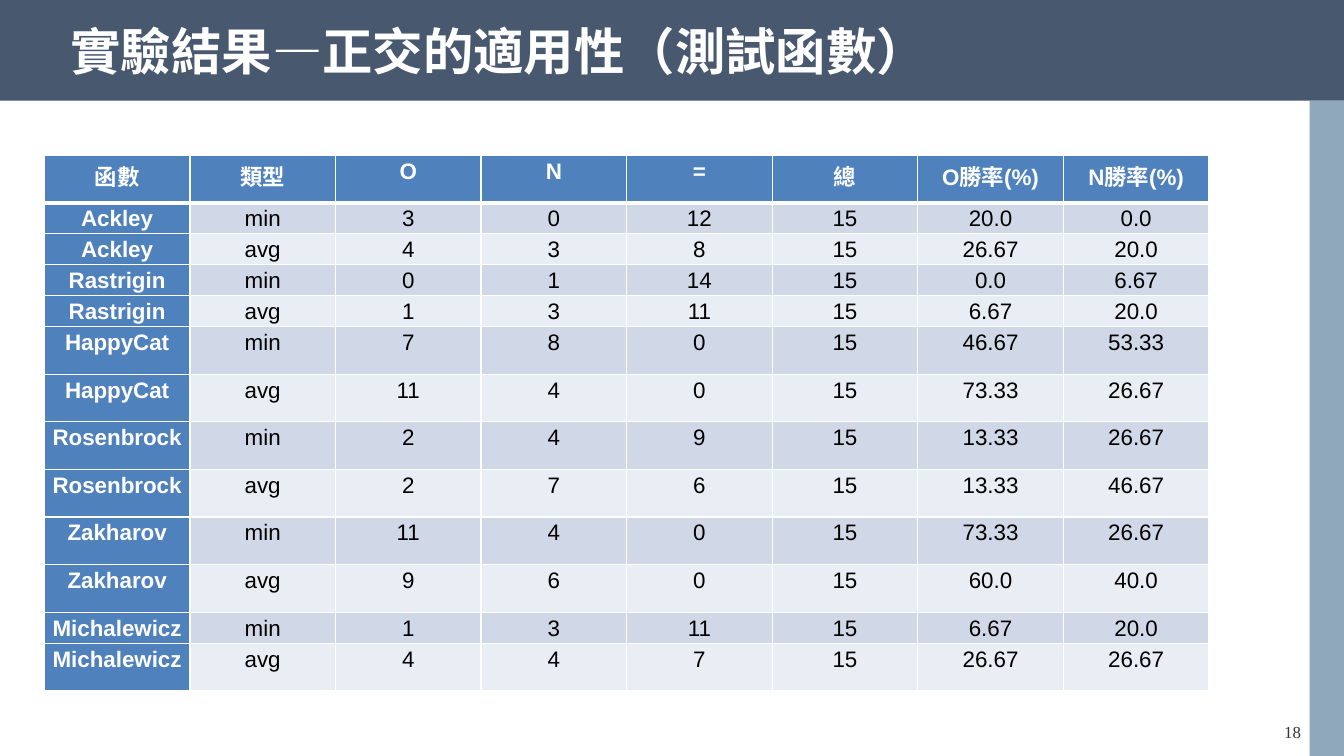
"""Build the slide on how well the orthogonal method suits the test functions."""
import lxml.etree
import pptx
import pptx.dml.color
import pptx.enum.shapes
import pptx.enum.text
import pptx.oxml.ns
import pptx.util

SLIDE_WIDTH, SLIDE_HEIGHT = pptx.util.Inches(13.34), pptx.util.Inches(7.5)
COLOURS = {
    "white": "FFFFFF", "black": "000000", "banner": "48586F", "side": "25557B",
    "number": "333333", "head": "4F81BD", "odd": "D0D8E8", "even": "E9EDF4",
}
HEADINGS = ["函數", "類型", "O", "N", "=", "總", "O勝率(%)", "N勝率(%)"]
RESULTS = [
    ["Ackley", "min", "3", "0", "12", "15", "20.0", "0.0"],
    ["Ackley", "avg", "4", "3", "8", "15", "26.67", "20.0"],
    ["Rastrigin", "min", "0", "1", "14", "15", "0.0", "6.67"],
    ["Rastrigin", "avg", "1", "3", "11", "15", "6.67", "20.0"],
    ["HappyCat", "min", "7", "8", "0", "15", "46.67", "53.33"],
    ["HappyCat", "avg", "11", "4", "0", "15", "73.33", "26.67"],
    ["Rosenbrock", "min", "2", "4", "9", "15", "13.33", "26.67"],
    ["Rosenbrock", "avg", "2", "7", "6", "15", "13.33", "46.67"],
    ["Zakharov", "min", "11", "4", "0", "15", "73.33", "26.67"],
    ["Zakharov", "avg", "9", "6", "0", "15", "60.0", "40.0"],
    ["Michalewicz", "min", "1", "3", "11", "15", "6.67", "20.0"],
    ["Michalewicz", "avg", "4", "4", "7", "15", "26.67", "26.67"],
]
ROW_UNITS = [5] + [3] * 4 + [5] * 6 + [3, 5]
CENTRE = pptx.enum.text.PP_ALIGN.CENTER
MIDDLE = pptx.enum.text.MSO_ANCHOR.MIDDLE
CELL_MARGINS = {"margin_left": pptx.util.Inches(0.07), "margin_right": pptx.util.Inches(0.07),
                "margin_top": 0, "margin_bottom": 0}
CELL_PARAGRAPH = {"alignment": CENTRE, "line_spacing": 1.15, "space_after": pptx.util.Pt(10)}


def rgb(colour):
    """Return the named colour."""
    return pptx.dml.color.RGBColor.from_string(COLOURS[colour])


def apply_format(target, values):
    """Set each format value on the target."""
    for attribute, value in values.items():
        setattr(target, attribute, value)


def area(left, top, width, height):
    """Turn percentages of the slide into lengths."""
    shares = zip((left, top, width, height), (SLIDE_WIDTH, SLIDE_HEIGHT) * 2)
    return [round(share * full / 100) for share, full in shares]


def write(frame, wording, paragraph_format, font_name, size, colour, bold=False):
    """Write one formatted paragraph into a text frame."""
    frame.text = wording
    paragraph = frame.paragraphs[0]
    apply_format(paragraph, paragraph_format)
    font = paragraph.runs[0].font
    apply_format(font, {"name": font_name, "size": pptx.util.Pt(size), "bold": bold})
    font.color.rgb = rgb(colour)


def add_band(slide, place, colour, opacity=100):
    """Add a plain band behind the title."""
    band = slide.shapes.add_shape(pptx.enum.shapes.MSO_SHAPE.RECTANGLE, *area(*place))
    band.shadow.inherit = False
    band.fill.solid()
    band.fill.fore_color.rgb = rgb(colour)
    band.line.fill.background()
    if opacity < 100:
        tint = band.element.find(".//" + pptx.oxml.ns.qn("a:srgbClr"))
        lxml.etree.SubElement(tint, pptx.oxml.ns.qn("a:alpha"), val=str(opacity * 1000))
    slide.shapes.title.element.addprevious(band.element)


def write_title(slide, wording):
    """Place and fill the title."""
    heading = slide.shapes.title
    apply_format(heading, dict(zip(("left", "top", "width", "height"),
                                   area(5.25, 2.27, 92.88, 9.87))))
    apply_format(heading.text_frame, {
        "margin_left": 0, "margin_top": 0, "margin_right": 0, "margin_bottom": 0,
        "vertical_anchor": MIDDLE, "word_wrap": True})
    write(heading.text_frame, wording,
          {"alignment": pptx.enum.text.PP_ALIGN.LEFT, "line_spacing": 0.9},
          "Arial", 36, "white", True)


def write_number(slide, wording):
    """Add the page number."""
    number = slide.shapes.add_textbox(*area(91.6, 94.8, 9.15, 3.73))
    number.text_frame.word_wrap = True
    write(number.text_frame, wording, {"alignment": CENTRE}, "Times New Roman", 12, "number")


def rule_cell(cell, bottom_width):
    """Draw white rules around a cell."""
    properties = cell._tc.get_or_add_tcPr()
    for side, width in {"L": 1, "R": 1, "T": 1, "B": bottom_width}.items():
        rule = lxml.etree.SubElement(properties, pptx.oxml.ns.qn("a:ln" + side),
                                     w=str(pptx.util.Pt(width)))
        paint = lxml.etree.SubElement(rule, pptx.oxml.ns.qn("a:solidFill"))
        lxml.etree.SubElement(paint, pptx.oxml.ns.qn("a:srgbClr"), val=COLOURS["white"])


def add_results(slide):
    """Add the table of results."""
    records = [HEADINGS] + RESULTS
    place = area(3.3, 20.53, 86.66, 69.33)
    results = slide.shapes.add_table(len(records), len(HEADINGS), *place).table
    for column in results.columns:
        column.width = place[2] // len(HEADINGS)
    for index, (record, units) in enumerate(zip(records, ROW_UNITS)):
        results.rows[index].height = place[3] * units // sum(ROW_UNITS)
        for position, wording in enumerate(record):
            cell = results.cell(index, position)
            is_head = index == 0 or position == 0
            apply_format(cell, CELL_MARGINS)
            rule_cell(cell, 1 if index else 3)
            cell.fill.solid()
            cell.fill.fore_color.rgb = rgb("head" if is_head else "odd" if index % 2 else "even")
            write(cell.text_frame, wording, CELL_PARAGRAPH, "Arial", 16,
                  "white" if is_head else "black", is_head)


def main():
    """Build and save the slide."""
    deck = pptx.Presentation()
    apply_format(deck, {"slide_width": SLIDE_WIDTH, "slide_height": SLIDE_HEIGHT})
    slide = deck.slides.add_slide(deck.slide_layouts[5])
    add_band(slide, (0, 0, 100, 13.33), "banner")
    add_band(slide, (97.45, 13.33, 2.55, 86.67), "side", 51)
    write_number(slide, "18")
    write_title(slide, "實驗結果—正交的適用性（測試函數）")
    add_results(slide)
    deck.save("out.pptx")


if __name__ == "__main__":
    main()
